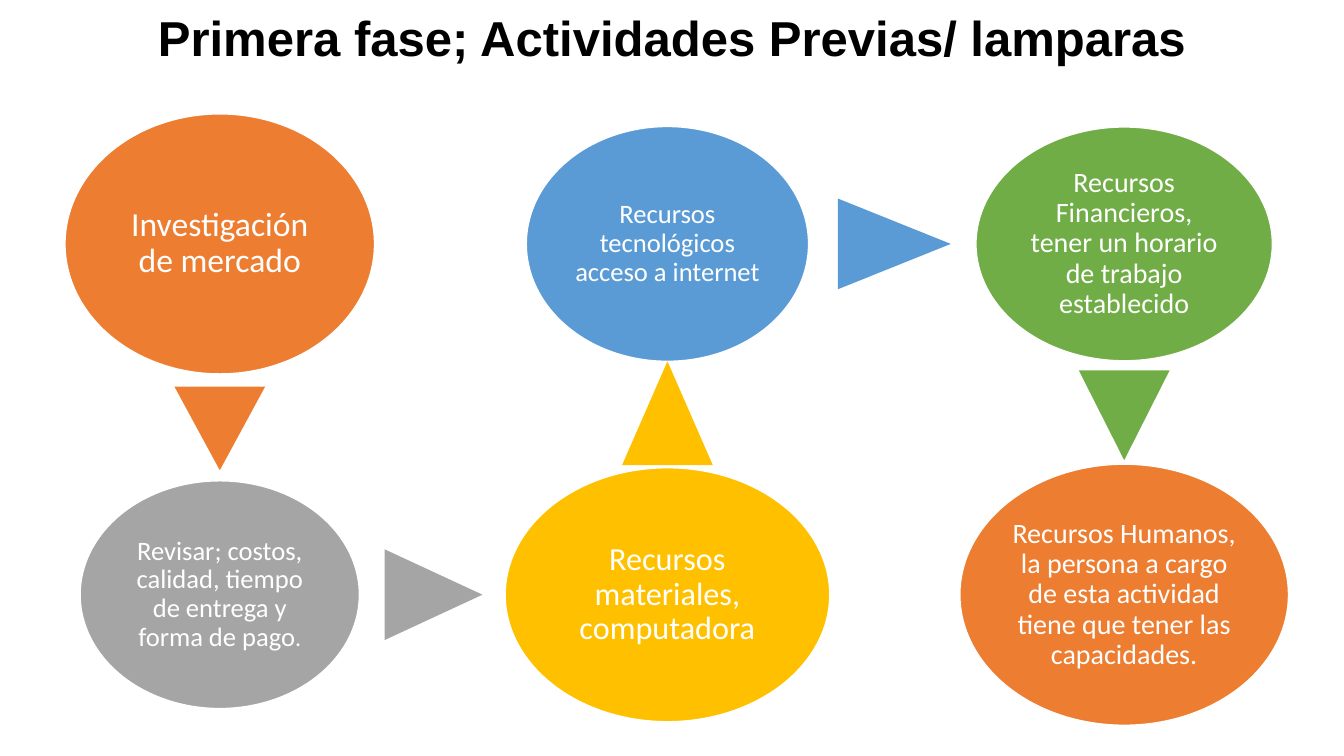
import pptx
import pptx.dml.color
import pptx.enum.shapes
import pptx.enum.text
import pptx.util

Inches = pptx.util.Inches
RGBColor = pptx.dml.color.RGBColor
Shape = pptx.enum.shapes.MSO_SHAPE

BLACK = RGBColor(0x00, 0x00, 0x00)
WHITE = RGBColor(0xFF, 0xFF, 0xFF)
ORANGE = RGBColor(0xED, 0x7D, 0x31)
GRAY = RGBColor(0xA5, 0xA5, 0xA5)
YELLOW = RGBColor(0xFF, 0xC0, 0x00)
BLUE = RGBColor(0x5B, 0x9B, 0xD5)
GREEN = RGBColor(0x70, 0xAD, 0x47)

# Centres of the three columns and two rows
LEFT, MIDDLE, RIGHT = 2.18, 6.62, 11.15
TOP, BOTTOM = 2.42, 5.9
ARROW_BASE = 0.9
UP, EAST, DOWN = 0, 90, 180

# Steps in order: centre, size, colour, runs of (text, points)
STEPS = [
    (LEFT, TOP, 3.07, 2.58, ORANGE, [("Investigación de mercado", 24)]),
    (LEFT, BOTTOM, 2.77, 2.26, GRAY,
     [("Revisar; costos, calidad, tiempo de entrega y forma de pago", 19),
      (".", 17)]),
    (MIDDLE, BOTTOM, 3.22, 2.52, YELLOW,
     [("Recursos materiales, computadora", 23)]),
    (MIDDLE, TOP, 2.8, 2.33, BLUE,
     [("Recursos tecnológicos acceso a internet", 19)]),
    (RIGHT, TOP, 2.94, 2.32, GREEN,
     [("Recursos Financieros, tener un horario de trabajo establecido", 20)]),
    (RIGHT, BOTTOM, 3.26, 2.59, ORANGE,
     [("Recursos Humanos, la persona a cargo de esta actividad tiene que "
       "tener las capacidades.", 20)]),
]

# Arrows between steps: centre, length, direction, colour
ARROWS = [
    (LEFT, 4.25, 0.83, DOWN, ORANGE),
    (4.3, BOTTOM, 0.97, EAST, GRAY),
    (MIDDLE, 4.1, 1.03, UP, YELLOW),
    (8.87, TOP, 1.12, EAST, BLUE),
    (RIGHT, 4.12, 0.89, DOWN, GREEN),
]


def write_text(shape, runs, font, color, bold=False):
    frame = shape.text_frame
    frame.word_wrap = True
    frame.vertical_anchor = pptx.enum.text.MSO_ANCHOR.MIDDLE
    paragraph = frame.paragraphs[0]
    paragraph.alignment = pptx.enum.text.PP_ALIGN.CENTER
    paragraph.line_spacing = 0.9
    for text, size in runs:
        run = paragraph.add_run()
        run.text = text
        run.font.name = font
        run.font.size = pptx.util.Pt(size)
        run.font.bold = bold
        run.font.color.rgb = color


def add_centered_shape(slide, kind, x, y, width, height, color):
    shape = slide.shapes.add_shape(
        kind, Inches(x - width / 2), Inches(y - height / 2),
        Inches(width), Inches(height))
    shape.shadow.inherit = False
    shape.fill.solid()
    shape.fill.fore_color.rgb = color
    shape.line.fill.background()
    return shape


def add_title(slide, text):
    title = slide.shapes.add_textbox(
        Inches(0.92), Inches(-0.32), Inches(11.5), Inches(1.45))
    write_text(title, [(text, 35)], "Arial", BLACK, bold=True)


def add_step(slide, x, y, width, height, color, runs):
    ellipse = add_centered_shape(slide, Shape.OVAL, x, y, width, height, color)
    ellipse.line.color.rgb = WHITE
    ellipse.line.width = pptx.util.Pt(1)
    frame = ellipse.text_frame
    frame.margin_left = frame.margin_right = Inches(0.03)
    frame.margin_top = frame.margin_bottom = Inches(0.03)
    write_text(ellipse, runs, "Calibri", WHITE)


def add_arrow(slide, x, y, length, direction, color):
    triangle = add_centered_shape(
        slide, Shape.ISOSCELES_TRIANGLE, x, y, ARROW_BASE, length, color)
    triangle.rotation = direction


def main():
    presentation = pptx.Presentation()
    presentation.slide_width = Inches(13.33)
    presentation.slide_height = Inches(7.5)
    slide = presentation.slides.add_slide(presentation.slide_layouts[6])

    add_title(slide, "Primera fase; Actividades Previas/ lamparas")
    for step in STEPS:
        add_step(slide, *step)
    for arrow in ARROWS:
        add_arrow(slide, *arrow)

    presentation.save("out.pptx")


main()
